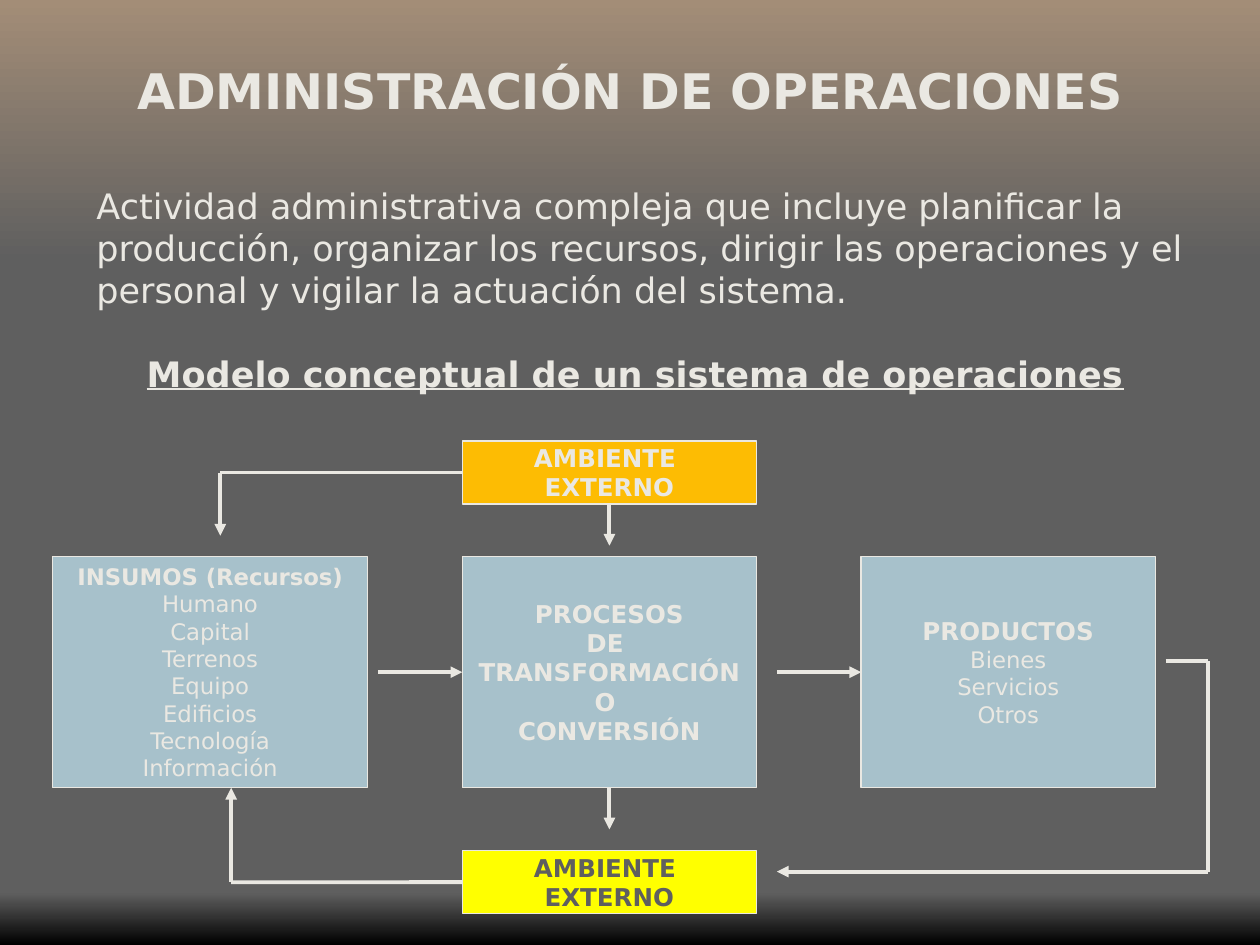
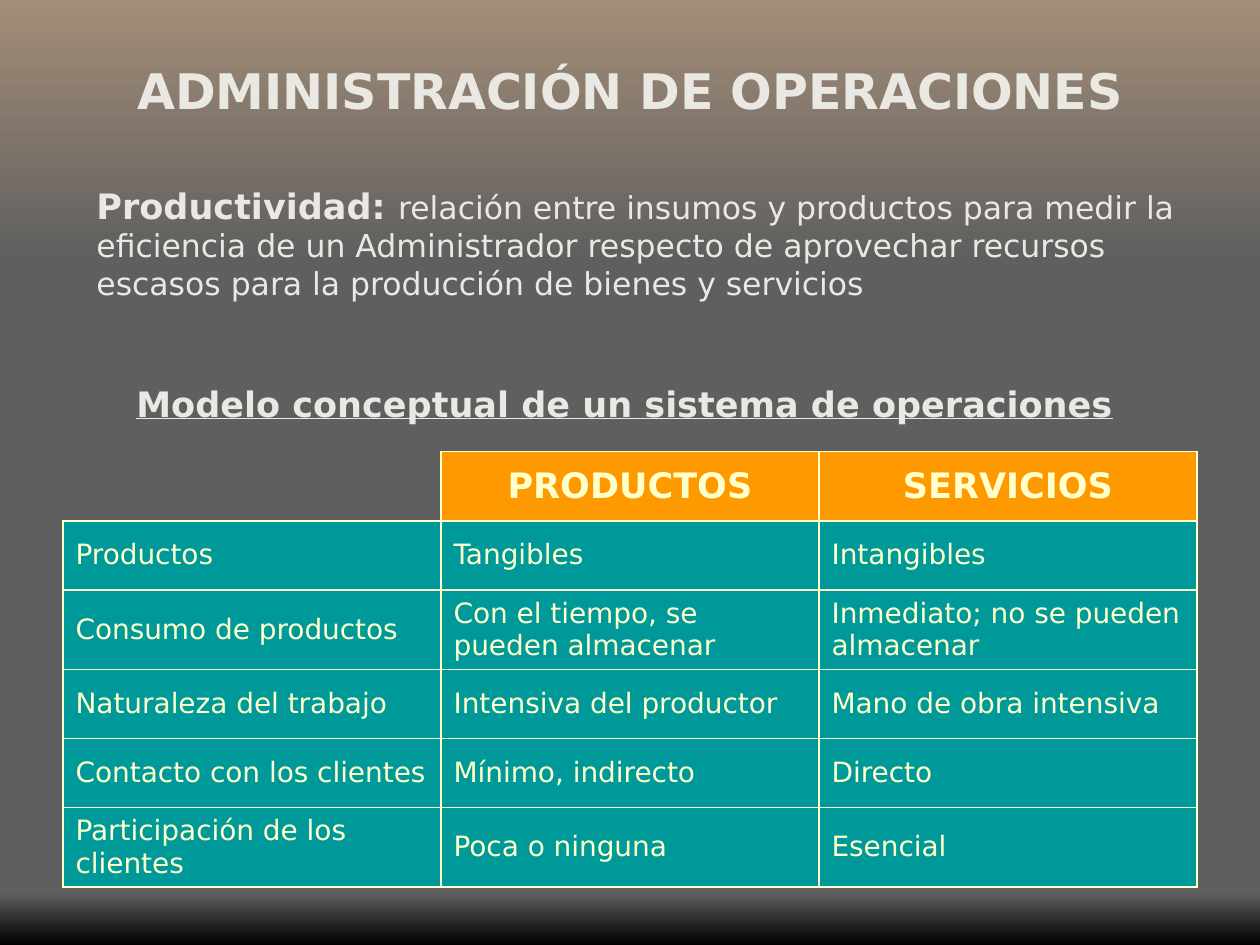
import lxml.etree
import pptx
import pptx.dml.color
import pptx.enum.shapes
import pptx.enum.text
import pptx.oxml.ns
import pptx.util

Cm, Pt = pptx.util.Cm, pptx.util.Pt
RGB = pptx.dml.color.RGBColor.from_string
ALIGN = pptx.enum.text.PP_ALIGN
ANCHOR = pptx.enum.text.MSO_ANCHOR
RECT = pptx.enum.shapes.MSO_SHAPE.RECTANGLE
qn = pptx.oxml.ns.qn

FONT = "DejaVu Sans"
COLORS = {
    "bg": "5F5F5F", "band": "A38D77", "black": "000000", "text": "EAE8E2",
    "amber": "FDBC03", "yellow": "FFFF00", "box": "A7C1CB",
    "head": "FF9900", "cell": "009999", "cream": "FFFFCC",
}


def write(p, text, size=20, bold=False, underline=False, color="text", align=ALIGN.LEFT):
    """Add one formatted run to a paragraph."""
    p.alignment = align
    p.space_before = Pt(0)
    r = p.add_run()
    r.text = text
    r.font.name = FONT
    r.font.size = Pt(size)
    r.font.bold = bold
    r.font.underline = underline
    r.font.color.rgb = RGB(COLORS[color])


def place(sp, x, y, w, h):
    """Set position and size in centimetres, and return the text frame."""
    sp.left, sp.top, sp.width, sp.height = Cm(x), Cm(y), Cm(w), Cm(h)
    tf = sp.text_frame
    tf.word_wrap = True
    tf.auto_size = pptx.enum.text.MSO_AUTO_SIZE.NONE
    tf.vertical_anchor = ANCHOR.TOP
    return tf


prs = pptx.Presentation()
prs.slide_width, prs.slide_height = Cm(25.4), Cm(19.05)
master = prs.slide_master
master.background.fill.solid()
master.background.fill.fore_color.rgb = RGB(COLORS["bg"])

# Shared title, definition and subheading
definitions = [
    [("Actividad administrativa compleja que incluye planificar la producción, "
      "organizar los recursos, dirigir las operaciones y el personal y vigilar "
      "la actuación del sistema.", 20, False)],
    [("Productividad: ", 20, True),
     ("relación entre insumos y productos para medir la eficiencia de un "
      "Administrador respecto de aprovechar recursos escasos para la producción "
      "de bienes y servicios", 18, False)],
]
subheading_spots = [(2.11, 6.98), (1.9, 7.58)]
for definition, (x, y) in zip(definitions, subheading_spots):
    s = prs.slides.add_slide(prs.slide_layouts[1])
    tf = place(s.shapes.title, 1.69, 1.09, 22.02, 1.45)
    write(tf.paragraphs[0], "ADMINISTRACIÓN DE OPERACIONES", size=28, bold=True,
          align=ALIGN.CENTER)

    p = place(s.placeholders[1], 1.69, 3.59, 22.43, 2.8).paragraphs[0]
    for text, size, bold in definition:
        write(p, text, size=size, bold=bold)
    pPr = p._p.get_or_add_pPr()
    pPr.set("marL", "0")
    pPr.set("indent", "0")
    lxml.etree.SubElement(pPr, qn("a:buNone"))

    spot = (x, y, 21.39, 1.12)
    tf = place(s.shapes.add_textbox(*map(Cm, spot)), *spot)
    write(tf.paragraphs[0], "Modelo conceptual de un sistema de operaciones",
          bold=True, underline=True, align=ALIGN.CENTER)

model, comparison = prs.slides

# Gradient bands, moved to the master so that every slide shows them
bands = [(0, 5.28, "band", "bg"), (17.99, 1.06, "bg", "black")]
for i, (y, h, start, end) in enumerate(bands):
    sp = model.shapes.add_shape(RECT, 0, Cm(y), prs.slide_width, Cm(h))
    sp.shadow.inherit = False
    sp.line.fill.background()
    sp.fill.gradient()
    sp.fill.gradient_angle = 270
    for stop, color in zip(sp.fill.gradient_stops, (start, end)):
        stop.color.rgb = RGB(COLORS[color])
    sp.element.nvSpPr.cNvPr.set("id", str(100 + i))
    master.shapes.element.insert(2 + i, sp.element)

# Slide 1: boxes of the operations system
LEFT, MID, RIGHT = 1.06, 9.32, 17.36
TOP, ROW, BOTTOM = 8.89, 11.22, 17.15
BOX_W, BOX_H, ENV_H = 5.93, 4.66, 1.27
environment = ["AMBIENTE ", "EXTERNO"]
# name: x, y, width, height, fill, text colour, heading size, bold lines, plain lines
box_specs = {
    "ambiente arriba": (MID, TOP, BOX_W, ENV_H, "amber", "text", 14, environment, []),
    "ambiente abajo": (MID, BOTTOM, BOX_W, ENV_H, "yellow", "bg", 14, environment, []),
    "insumos": (LEFT, ROW, 6.35, BOX_H, "box", "text", 13, ["INSUMOS (Recursos)"],
                ["Humano", "Capital", "Terrenos", "Equipo", "Edificios",
                 "Tecnología", "Información"]),
    "procesos": (MID, ROW, BOX_W, BOX_H, "box", "text", 14,
                 ["PROCESOS", "DE ", "TRANSFORMACIÓN", "O ", "CONVERSIÓN"], []),
    "productos": (RIGHT, ROW, BOX_W, BOX_H, "box", "text", 14, ["PRODUCTOS"],
                  ["Bienes", "Servicios", "Otros"]),
}
boxes = {}
for name, (x, y, w, h, fill, color, size, heading, items) in box_specs.items():
    sp = model.shapes.add_shape(RECT, Cm(x), Cm(y), Cm(w), Cm(h))
    sp.shadow.inherit = False
    sp.fill.solid()
    sp.fill.fore_color.rgb = RGB(COLORS[fill])
    sp.line.color.rgb = RGB(COLORS["text"])
    sp.line.width = Pt(0.75)
    tf = sp.text_frame
    tf.word_wrap = False
    tf.vertical_anchor = ANCHOR.MIDDLE
    lines = [(t, size, True) for t in heading] + [(t, 13, False) for t in items]
    for i, (text, pt, bold) in enumerate(lines):
        p = tf.add_paragraph() if i else tf.paragraphs[0]
        write(p, text, size=pt, bold=bold, color=color, align=ALIGN.CENTER)
    boxes[name] = sp

# Each route: points, box and side at its start, box and side at its end
mid_x, mid_y = MID + BOX_W / 2, ROW + BOX_H / 2
top_y, bottom_y = TOP + ENV_H / 2, BOTTOM + ENV_H / 2
routes = [
    ([(mid_x, TOP + ENV_H), (mid_x, 11)], ("ambiente arriba", 2), None),
    ([(mid_x, ROW + BOX_H), (mid_x, 16.72)], ("procesos", 2), None),
    ([(7.62, mid_y), (MID, mid_y)], None, ("procesos", 1)),
    ([(15.66, mid_y), (RIGHT, mid_y)], None, ("productos", 1)),
    ([(MID, top_y), (4.44, top_y), (4.44, 10.8)], ("ambiente arriba", 1), None),
    ([(MID, bottom_y), (4.66, bottom_y), (4.66, ROW + BOX_H)],
     ("ambiente abajo", 1), None),
    ([(23.5, 13.33), (24.35, 13.33), (24.35, 17.57), (15.66, 17.57)], None, None),
]
for points, begin, end in routes:
    last = len(points) - 2
    for i, ((x1, y1), (x2, y2)) in enumerate(zip(points, points[1:])):
        c = model.shapes.add_connector(pptx.enum.shapes.MSO_CONNECTOR.STRAIGHT,
                                       Cm(x1), Cm(y1), Cm(x2), Cm(y2))
        c.line.color.rgb = RGB(COLORS["text"])
        c.line.width = Pt(2.25)
        if i == 0 and begin:
            c.begin_connect(boxes[begin[0]], begin[1])
        if i == last:
            if end:
                c.end_connect(boxes[end[0]], end[1])
            ln = c.line._get_or_add_ln()
            lxml.etree.SubElement(ln, qn("a:tailEnd"), type="triangle")
        lxml.etree.SubElement(c.element.spPr, qn("a:effectLst"))

# Slide 2: products against services
rows = [
    ("", "PRODUCTOS", "SERVICIOS"),
    ("Productos", "Tangibles", "Intangibles"),
    ("Consumo de productos", "Con el tiempo, se pueden almacenar",
     "Inmediato; no se pueden almacenar"),
    ("Naturaleza del trabajo", "Intensiva del productor", "Mano de obra intensiva"),
    ("Contacto con los clientes", "Mínimo, indirecto", "Directo"),
    ("Participación de los clientes", "Poca o ninguna", "Esencial"),
]
row_heights = [1.4, 1.39, 1.61, 1.39, 1.39, 1.61]
table = comparison.shapes.add_table(len(rows), 3, Cm(1.27), Cm(9.1), Cm(22.86),
                                    Cm(sum(row_heights))).table
table.first_row = table.horz_banding = False
for col in table.columns:
    col.width = Cm(7.62)
for i, (row, height) in enumerate(zip(rows, row_heights)):
    table.rows[i].height = Cm(height)
    for j, text in enumerate(row):
        cell = table.cell(i, j)
        cell.vertical_anchor = ANCHOR.MIDDLE
        tcPr = cell._tc.get_or_add_tcPr()
        for side in ("lnL", "lnR", "lnT", "lnB"):
            ln = lxml.etree.SubElement(tcPr, qn("a:" + side), w=str(Pt(1.08)))
            if not text and side in ("lnL", "lnT"):
                lxml.etree.SubElement(ln, qn("a:noFill"))
            else:
                fill = lxml.etree.SubElement(ln, qn("a:solidFill"))
                lxml.etree.SubElement(fill, qn("a:srgbClr"), val=COLORS["cream"])
        if not text:
            cell.fill.background()
            continue
        cell.fill.solid()
        cell.fill.fore_color.rgb = RGB(COLORS["cell" if i else "head"])
        write(cell.text_frame.paragraphs[0], text, size=16 if i else 20, bold=i == 0,
              color="cream", align=ALIGN.LEFT if i else ALIGN.CENTER)

prs.save("out.pptx")
